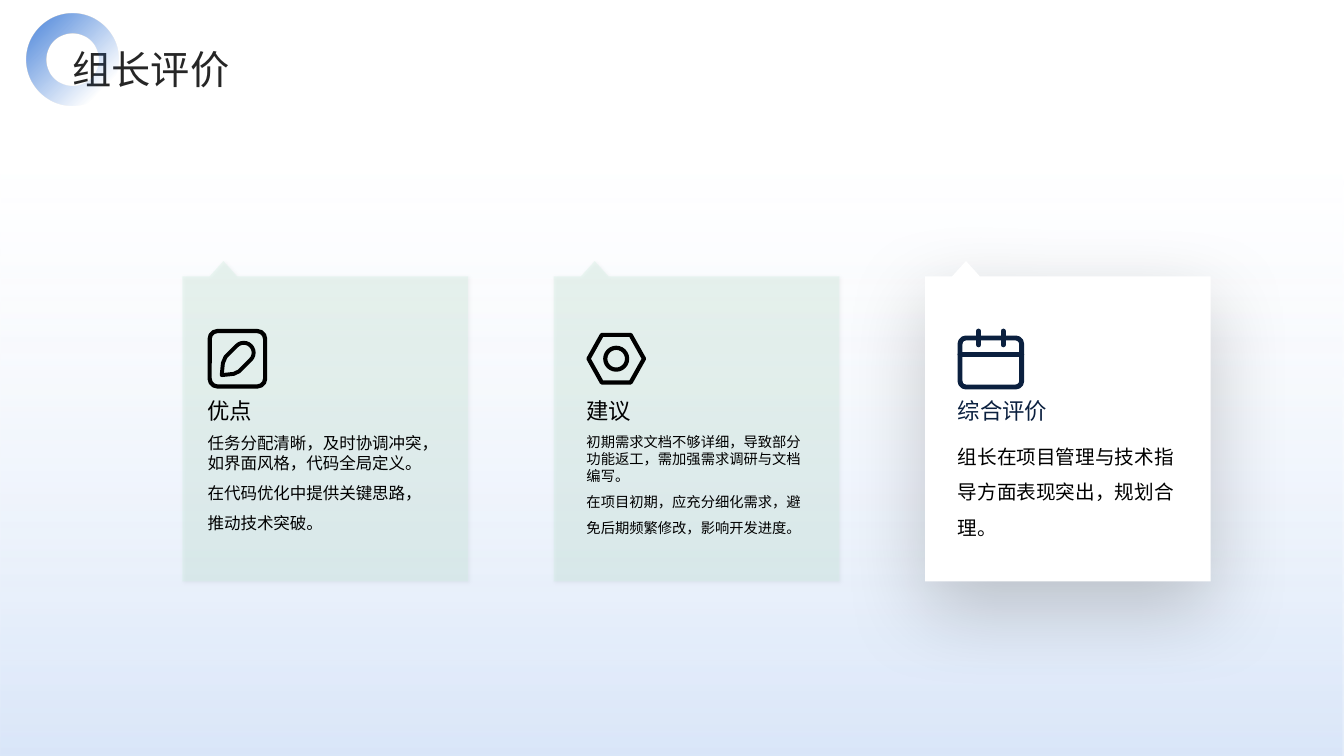
import math

import lxml.etree
import pptx
import pptx.dml.color
import pptx.enum.shapes
import pptx.enum.text
import pptx.oxml
import pptx.oxml.ns
import pptx.util

COLORS = {"sky": "DAE6F9", "haze": "A2C1EF", "blue": "256BD3", "mint": "CBEEDD",
          "white": "FFFFFF", "black": "000000", "navy": "0B203F", "title": "262626"}
FONT = "Noto Sans CJK SC"
NAMESPACE = pptx.oxml.ns.nsdecls("a")
SHAPES = pptx.enum.shapes.MSO_SHAPE
CARD_LEFT, CARD_PITCH, CARD_WIDTH = 21.72, 44.2, 34
NOTCH_TOP, CARD_TOP, CARD_BOTTOM = 31.08, 32.9, 69.24
ICON_ROW = 42.72
CARDS = [
    {"icon": "pencil", "inset": 3, "fill": "mint", "alpha": 30, "shadow": (15, 3, 1, 45),
     "ink": "black", "heading": "优点", "size": 11.8,
     "body": [("任务分配清晰，及时协调冲突，如界面风格，代码全局定义。", 1.0),
              ("在代码优化中提供关键思路，推动技术突破。", 1.5)]},
    {"icon": "nut", "inset": 3.9, "fill": "mint", "alpha": 30, "shadow": (15, 3, 1, 45),
     "ink": "black", "heading": "建议", "size": 10.2,
     "body": [("初期需求文档不够详细，导致部分功能返工，需加强需求调研与文档编写。", 1.0),
              ("在项目初期，应充分细化需求，避免后期频繁修改，影响开发进度。", 1.5)]},
    {"icon": "calendar", "inset": 3.9, "fill": "white", "alpha": 100, "shadow": (20, 60, 20, 90),
     "ink": "navy", "heading": "综合评价", "size": 14,
     "body": [("组长在项目管理与技术指导方面表现突出，规划合理。", 1.5)]},
]


class SlideBuilder:
    """Draws styled elements on one slide, on a grid of 160 columns by 90 rows."""

    def __init__(self, presentation):
        self.slide = presentation.slides.add_slide(presentation.slide_layouts[5])
        self.shapes = self.slide.shapes
        self.unit = presentation.slide_width / 160

    def grid(self, *values):
        return [round(value * self.unit) for value in values]

    def color(self, name):
        return pptx.dml.color.RGBColor.from_string(COLORS[name])

    def preset(self, kind, left, top, width, height, adjustment=None):
        shape = self.shapes.add_shape(kind, *self.grid(left, top, width, height))
        shape.shadow.inherit = False
        shape.line.fill.background()
        if adjustment is not None:
            shape.adjustments[0] = adjustment
        return shape

    def gradient(self, shape, stops, angle):
        marks = "".join(
            f'<a:gs pos="{position * 1000}"><a:srgbClr val="{COLORS[name]}">'
            f'<a:alpha val="{alpha * 1000}"/></a:srgbClr></a:gs>'
            for position, name, alpha in stops)
        fill = pptx.oxml.parse_xml(
            f'<a:gradFill {NAMESPACE} rotWithShape="1"><a:gsLst>{marks}</a:gsLst>'
            f'<a:lin ang="{angle * 60000}" scaled="0"/></a:gradFill>')
        shape._element.spPr.find(pptx.oxml.ns.qn("a:prstGeom")).addnext(fill)

    def outline(self, shape, name, weight):
        shape.fill.background()
        shape.line.color.rgb = self.color(name)
        shape.line.width = pptx.util.Pt(weight)

    def freeform(self, points):
        corners = [self.grid(*point) for point in points]
        builder = self.shapes.build_freeform(*corners[0])
        builder.add_line_segments(corners[1:], close=True)
        shape = builder.convert_to_shape()
        shape.shadow.inherit = False
        shape.line.fill.background()
        return shape

    def stroke(self, start, end, name, weight):
        line = self.shapes.add_connector(
            pptx.enum.shapes.MSO_CONNECTOR.STRAIGHT, *self.grid(*start, *end))
        line.line.color.rgb = self.color(name)
        line.line.width = pptx.util.Pt(weight)
        line._element.spPr.find(pptx.oxml.ns.qn("a:ln")).set("cap", "rnd")
        lxml.etree.SubElement(line._element.spPr, pptx.oxml.ns.qn("a:effectLst"))

    def set_text(self, shape, paragraphs, size, name):
        frame = shape.text_frame
        frame.word_wrap = True
        frame.auto_size = pptx.enum.text.MSO_AUTO_SIZE.NONE
        frame.margin_left = frame.margin_right = frame.margin_top = frame.margin_bottom = 0
        frame.text = "\n".join(text for text, spacing in paragraphs)
        for paragraph, (text, spacing) in zip(frame.paragraphs, paragraphs):
            paragraph.alignment = pptx.enum.text.PP_ALIGN.LEFT
            paragraph.line_spacing = spacing
            for run in paragraph.runs:
                run.font.size = pptx.util.Pt(size)
                run.font.name = FONT
                run.font.color.rgb = self.color(name)
                properties = run._r.get_or_add_rPr()
                properties.set("lang", "zh-CN")
                lxml.etree.SubElement(properties, pptx.oxml.ns.qn("a:ea"), typeface=FONT)

    def text(self, left, top, width, height, paragraphs, size, name):
        box = self.shapes.add_textbox(*self.grid(left, top, width, height))
        self.set_text(box, paragraphs, size, name)

    def title(self, left, top, width, height, text):
        title = self.shapes.title
        title.left, title.top, title.width, title.height = self.grid(left, top, width, height)
        self.set_text(title, [(text, 1.3)], 28, "title")
        title.text_frame.vertical_anchor = pptx.enum.text.MSO_ANCHOR.MIDDLE
        self.shapes._spTree.append(title._element)

    def card(self, left, card):
        right = left + CARD_WIDTH
        shape = self.freeform([
            (left, CARD_TOP), (left + 3.24, CARD_TOP), (left + 4.88, NOTCH_TOP),
            (left + 6.52, CARD_TOP), (right, CARD_TOP), (right, CARD_BOTTOM), (left, CARD_BOTTOM)])
        shape.fill.solid()
        shape.fill.fore_color.rgb = self.color(card["fill"])
        fill = shape._element.spPr.find(".//" + pptx.oxml.ns.qn("a:srgbClr"))
        lxml.etree.SubElement(fill, pptx.oxml.ns.qn("a:alpha"), val=str(card["alpha"] * 1000))
        alpha, blur, distance, angle = card["shadow"]
        shape._element.spPr.find(pptx.oxml.ns.qn("a:effectLst")).append(pptx.oxml.parse_xml(
            f'<a:outerShdw {NAMESPACE} blurRad="{blur * 12700}" dist="{distance * 12700}" '
            f'dir="{angle * 60000}" algn="ctr" rotWithShape="0"><a:srgbClr val="{COLORS["black"]}">'
            f'<a:alpha val="{alpha * 1000}"/></a:srgbClr></a:outerShdw>'))

    def pencil(self, left, middle, name):
        frame = self.preset(SHAPES.ROUNDED_RECTANGLE, left + 0.24, middle - 3.3, 6.6, 6.6, 0.14)
        self.outline(frame, name, 3)
        center_x, center_y, radius = left + 4.3, middle - 0.72, 1.18
        turns = [math.radians(angle) for angle in range(-135, 46, 15)]
        cap = [(center_x + radius * math.cos(turn), center_y + radius * math.sin(turn))
               for turn in turns]
        tip = [(left + 3.75, middle + 1.5), (left + 3.1, middle + 1.8), (left + 1.68, middle + 1.95),
               (left + 1.82, middle + 0.52), (left + 2.12, middle - 0.2)]
        self.outline(self.freeform(cap + tip), name, 2.8)

    def nut(self, left, middle, name):
        hexagon = self.preset(SHAPES.HEXAGON, left + 0.24, middle - 2.84, 6.6, 5.68, 0.28)
        self.outline(hexagon, name, 3)
        self.outline(self.preset(SHAPES.OVAL, left + 2.24, middle - 1.3, 2.6, 2.6), name, 3)

    def calendar(self, left, middle, name):
        page = self.preset(SHAPES.ROUNDED_RECTANGLE, left + 0.27, middle - 2.47, 7.34, 5.84, 0.12)
        self.outline(page, name, 3.5)
        self.stroke((left + 0.27, middle - 0.55), (left + 7.61, middle - 0.55), name, 3.5)
        for ring in (2.48, 5.4):
            self.stroke((left + ring, middle - 3.3), (left + ring, middle - 1.65), name, 3.5)


def main():
    presentation = pptx.Presentation()
    presentation.slide_width = pptx.util.Inches(13.33)
    presentation.slide_height = pptx.util.Inches(7.5)
    builder = SlideBuilder(presentation)
    backdrop = builder.preset(SHAPES.RECTANGLE, 0, 0, 160, 90)
    builder.gradient(backdrop, [(22, "sky", 0), (100, "haze", 40)], 90)
    icons = {"pencil": builder.pencil, "nut": builder.nut, "calendar": builder.calendar}
    for index, card in enumerate(CARDS):
        left = CARD_LEFT + index * CARD_PITCH
        content = left + card["inset"]
        builder.card(left, card)
        icons[card["icon"]](content, ICON_ROW, card["ink"])
        builder.text(content, 47.28, 26.5, 3.6, [(card["heading"], 1.0)], 16, card["ink"])
        builder.text(content, 51.6, 26.3, 14.88, card["body"], card["size"], "black")
    builder.title(8.64, 4.44, 142.56, 5.76, "组长评价")
    ring = builder.preset(SHAPES.DONUT, 3.2, 1.65, 10.9, 10.9, 0.216)
    builder.gradient(ring, [(11, "blue", 72), (82, "blue", 0)], 45)
    presentation.save("out.pptx")


if __name__ == "__main__":
    main()
